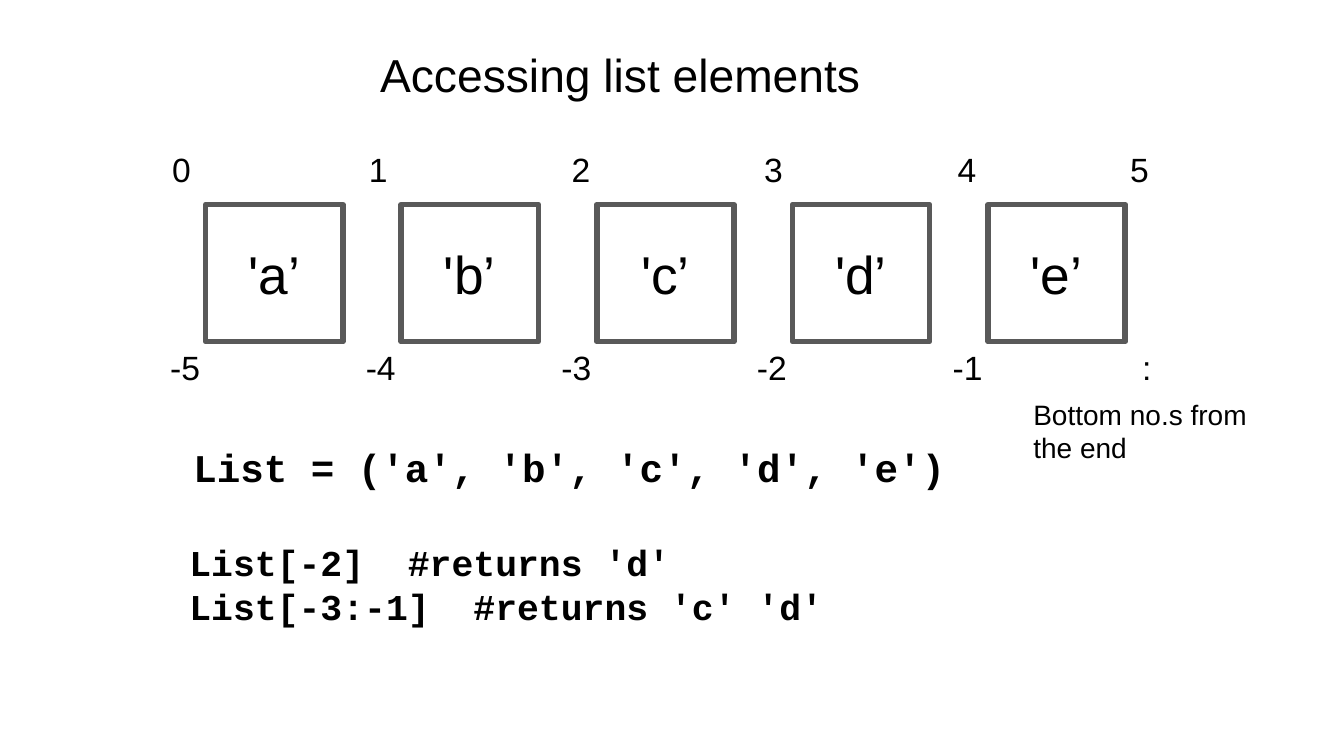
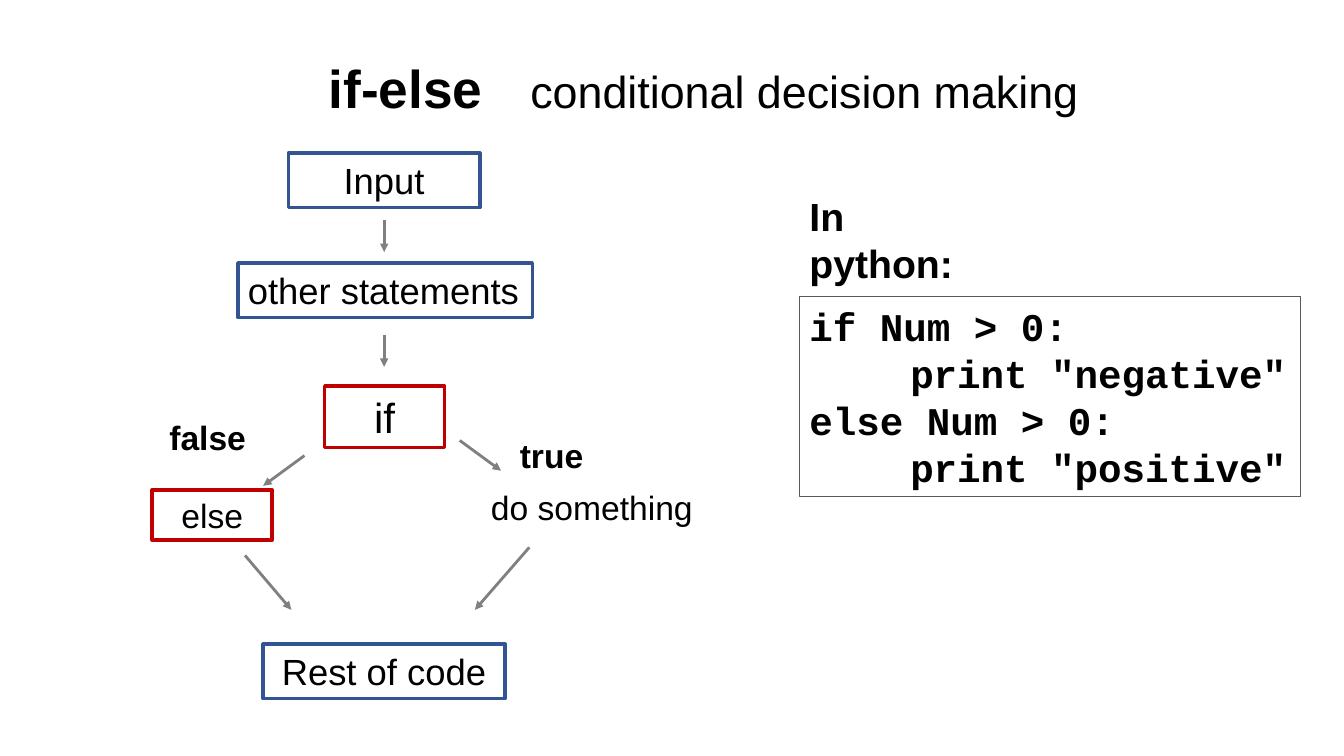
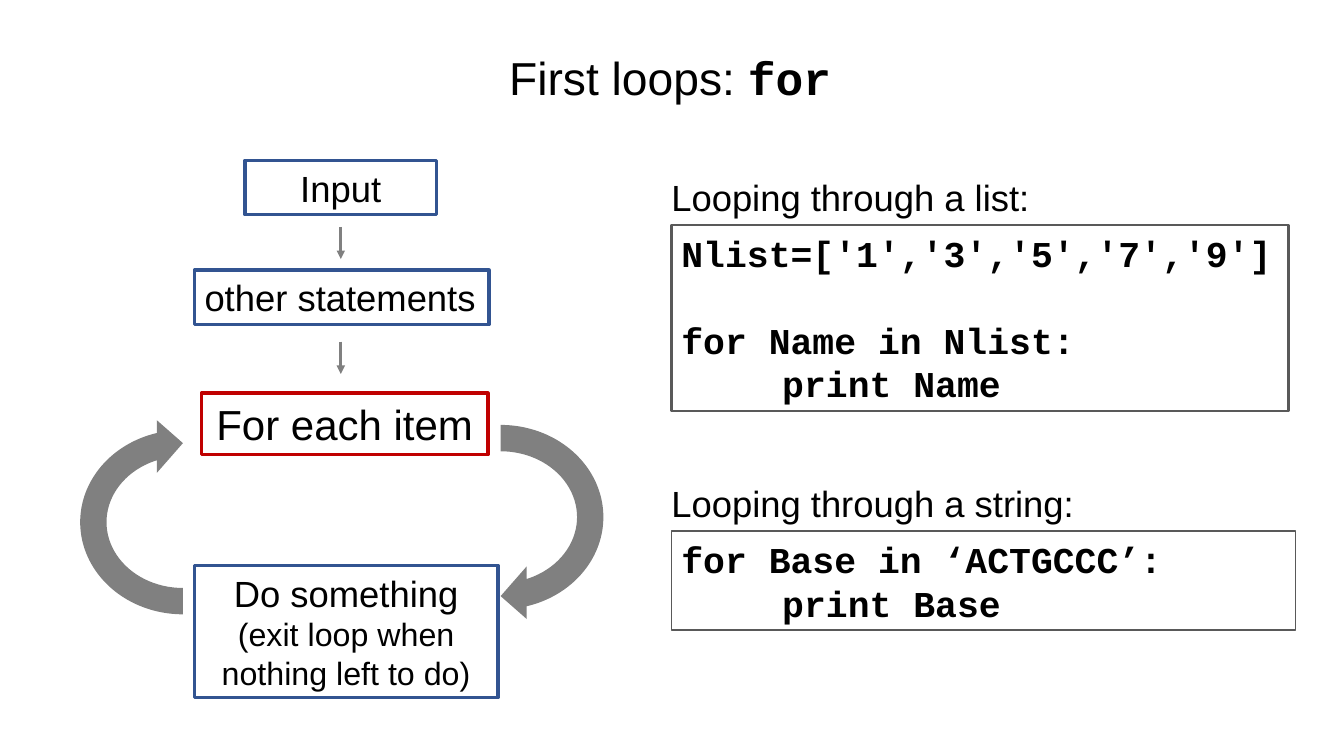
"""Build three slides on Python lists, if-else and for loops."""
import dataclasses

import pptx
import pptx.dml.color
import pptx.enum.shapes
import pptx.enum.text
import pptx.oxml.ns
import pptx.util
from lxml import etree

Inches, Pt = pptx.util.Inches, pptx.util.Pt
RGB = pptx.dml.color.RGBColor.from_string
SHAPE = pptx.enum.shapes.MSO_SHAPE
ALIGN = pptx.enum.text.PP_ALIGN
ANCHOR = pptx.enum.text.MSO_ANCHOR
qn = pptx.oxml.ns.qn


@dataclasses.dataclass(frozen=True)
class Theme:
    text: str = "000000"
    frame: str = "595959"
    step: str = "325491"
    branch: str = "C00000"
    arrow: str = "808080"
    sans: str = "Arial"
    mono: str = "Courier New"
    title: int = 33
    subtitle: int = 32
    big: int = 38
    decision: int = 30
    code: int = 28
    body: int = 26
    label: int = 24
    detail: int = 23
    note: int = 20


T = Theme()


def box(s, at, text, size, font=T.sans, bold=False, align=ALIGN.LEFT,
        line=None, width=2.5, wrap=True):
    """Add text, in an outlined rectangle if a line colour is given."""
    at = [Inches(v) for v in at]
    if line:
        sp = s.shapes.add_shape(SHAPE.RECTANGLE, *at)
        sp.shadow.inherit = False
        sp.fill.background()
        sp.line.color.rgb = RGB(line)
        sp.line.width = Pt(width)
    else:
        sp = s.shapes.add_textbox(*at)
    tf = sp.text_frame
    tf.text = text
    tf.word_wrap = wrap
    tf.vertical_anchor = ANCHOR.MIDDLE if line else ANCHOR.TOP
    for p in tf.paragraphs:
        p.alignment = align
        if font == T.mono and p.text.startswith("print"):
            p._p.get_or_add_pPr().set("marL", str(Inches(1)))
        for r in p.runs:
            r.font.name, r.font.size, r.font.bold = font, Pt(size), bold
            r.font.color.rgb = RGB(T.text)
    return sp


def arrow(s, x1, y1, x2, y2):
    """Add a grey arrow."""
    c = s.shapes.add_connector(pptx.enum.shapes.MSO_CONNECTOR.STRAIGHT,
                               Inches(x1), Inches(y1), Inches(x2), Inches(y2))
    c.line.color.rgb = RGB(T.arrow)
    c.line.width = Pt(2)
    etree.SubElement(c.line._get_or_add_ln(), qn("a:tailEnd"), type="triangle")
    etree.SubElement(c._element.spPr, qn("a:effectLst"))


prs = pptx.Presentation()
prs.slide_width, prs.slide_height = Inches(13.33), Inches(7.5)

titles = [
    ((3.67, 0.41, 5.09, 0.66),
     [("Accessing list elements", T.title, T.sans, False)]),
    ((3.16, 0.5, 8.63, 0.74),
     [("if-else", T.big, T.sans, True),
      ("\tconditional decision making", T.subtitle, T.sans, False)]),
    ((4.95, 0.44, 3.42, 0.66),
     [("First loops: ", T.title, T.sans, False),
      ("for", T.title, T.mono, True)]),
]
for at, runs in titles:
    sp = prs.slides.add_slide(prs.slide_layouts[5]).shapes.title
    sp.left, sp.top, sp.width, sp.height = [Inches(v) for v in at]
    tf = sp.text_frame
    tf.auto_size = pptx.enum.text.MSO_AUTO_SIZE.NONE
    tf.word_wrap = False
    tf.vertical_anchor = ANCHOR.TOP
    p = tf.paragraphs[0]
    p.alignment = ALIGN.LEFT
    for text, size, font, bold in runs:
        r = p.add_run()
        r.text = text
        r.font.name, r.font.size, r.font.bold = font, Pt(size), bold
        r.font.color.rgb = RGB(T.text)
lists, ifelse, loops = prs.slides

for i, letter in enumerate("abcde"):
    x = 2.04 + 1.94 * i
    box(lists, (x, 2.03, 1.36, 1.36), f"'{letter}’", T.big,
        align=ALIGN.CENTER, line=T.frame, width=4)
    box(lists, (x - 0.45, 3.39, 0.5, 0.5), str(i - 5), T.label, wrap=False)
for i, x in enumerate((1.61, 3.56, 5.57, 7.48, 9.4, 11.11)):
    box(lists, (x, 1.43, 0.39, 0.5), str(i), T.label, wrap=False)
box(lists, (11.23, 3.39, 0.29, 0.5), ":", T.label, wrap=False)
box(lists, (10.15, 3.89, 2.45, 0.77), "Bottom no.s from the end", T.note)
box(lists, (1.82, 4.35, 7.74, 0.57), "List = ('a', 'b', 'c', 'd', 'e')",
    T.code, T.mono, True)
box(lists, (1.78, 5.31, 6.75, 0.98),
    "List[-2]  #returns 'd'\nList[-3:-1]  #returns 'c' 'd'",
    T.body, T.mono, True)

for s, x, y, test, left, w in (
        (ifelse, 3.81, 1.52, "if", 3.22, 1.19),
        (loops, 3.38, 1.59, "For each item", 2, 2.84)):
    box(s, (x - 0.95, y, 1.9, 0.54), "Input", T.body,
        align=ALIGN.CENTER, line=T.step)
    box(s, (x - 1.45, y + 1.09, 2.92, 0.54), "other statements", T.body,
        line=T.step, wrap=False)
    box(s, (left, y + 2.31, w, 0.61), test, T.decision,
        align=ALIGN.CENTER, line=T.branch)
    for top in (y + 0.66, y + 1.8):
        arrow(s, x, top, x, top + 0.32)

for ends in ((4.56, 4.37, 4.97, 4.67), (3.02, 4.52, 2.61, 4.82),
             (5.25, 5.43, 4.71, 6.05), (2.43, 5.51, 2.89, 6.05)):
    arrow(ifelse, *ends)
for at, text, size, bold, line in (
        ((1.11, 4.09, 1.9, 0.5), "false", T.label, True, None),
        ((4.52, 4.27, 1.9, 0.5), "true", T.label, True, None),
        ((4.71, 4.78, 2.32, 0.5), "do something", T.label, False, None),
        ((1.51, 4.86, 1.19, 0.5), "else", T.label, False, T.branch),
        ((2.61, 6.39, 2.4, 0.54), "Rest of code", T.body, False, T.step)):
    box(ifelse, at, text, size, bold=bold, align=ALIGN.CENTER, line=line)
box(ifelse, (7.93, 1.86, 1.95, 1.04), "In python:", T.code, bold=True)
box(ifelse, (7.93, 2.94, 4.97, 1.99),
    'if Num > 0:\nprint "negative"\nelse Num > 0:\nprint "positive"',
    T.code, T.mono, True, line=T.frame, width=0.75)

for x, y, turn in ((3.92, 3.98, 90), (0.77, 4.03, 270)):
    sp = loops.shapes.add_shape(SHAPE.CIRCULAR_ARROW, Inches(x), Inches(y),
                                Inches(2.09), Inches(2.3))
    sp.rotation = turn
    sp.shadow.inherit = False
    sp.fill.solid()
    sp.fill.fore_color.rgb = RGB(T.arrow)
    sp.line.fill.background()
sp = box(loops, (1.93, 5.61, 3.01, 1.31),
         "Do something\n(exit loop when nothing left to do)", T.body,
         align=ALIGN.CENTER, line=T.step)
sp.text_frame.paragraphs[1].runs[0].font.size = Pt(T.detail)

box(loops, (6.56, 1.69, 3.86, 0.54), "Looping through a list:", T.body)
sp = box(loops, (6.66, 2.23, 6.12, 1.85),
         "Nlist=['1','3','5','7','9']\nfor Name in Nlist:\nprint Name",
         T.body, T.mono, True, line=T.frame, width=1.5)
sp.text_frame.paragraphs[1].space_before = Pt(31)
box(loops, (6.56, 4.72, 4.32, 0.54), "Looping through a string:", T.body)
box(loops, (6.66, 5.27, 6.19, 0.98), "for Base in ‘ACTGCCC’:\nprint Base",
    T.body, T.mono, True, line=T.frame, width=1.25)

prs.save("out.pptx")
